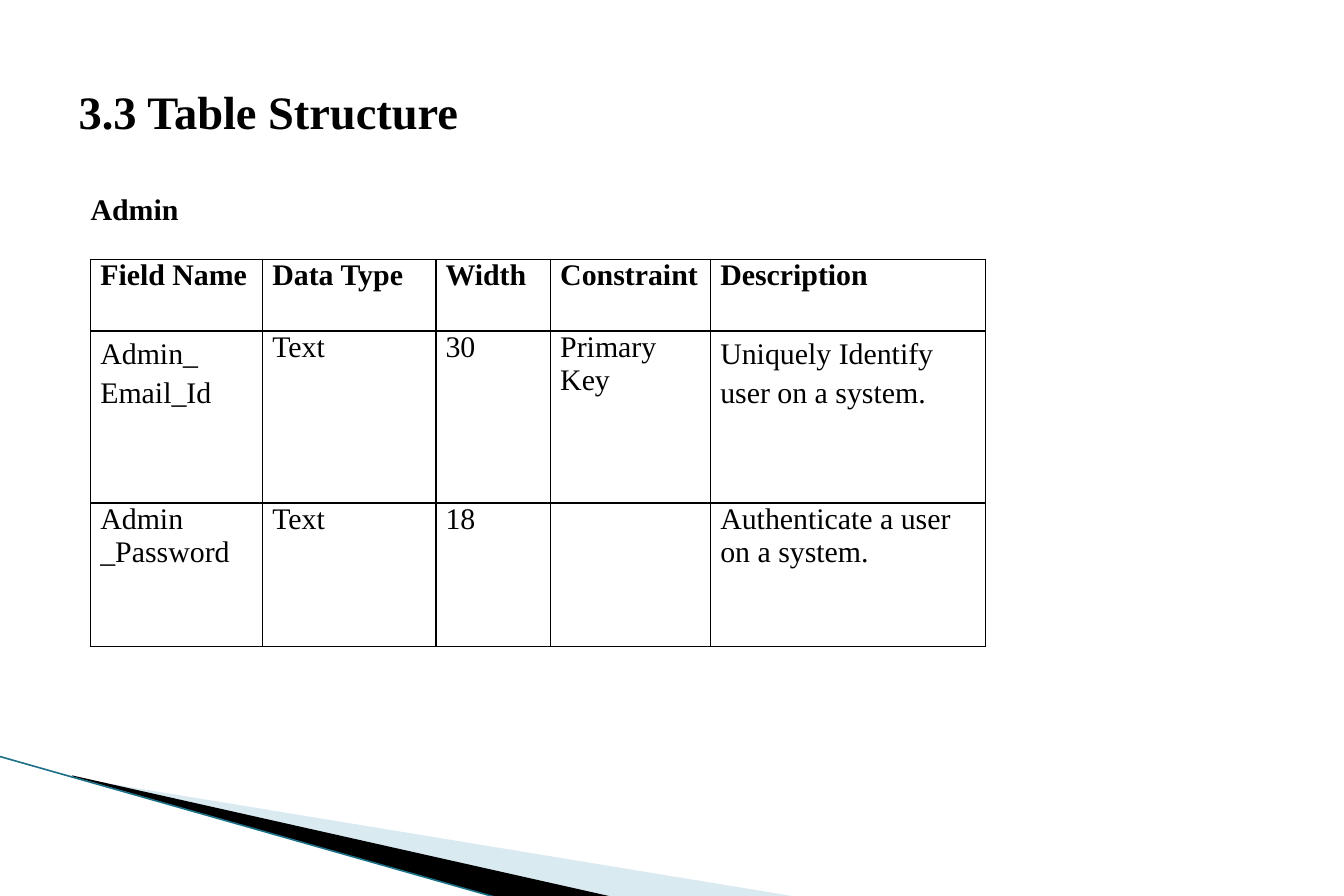
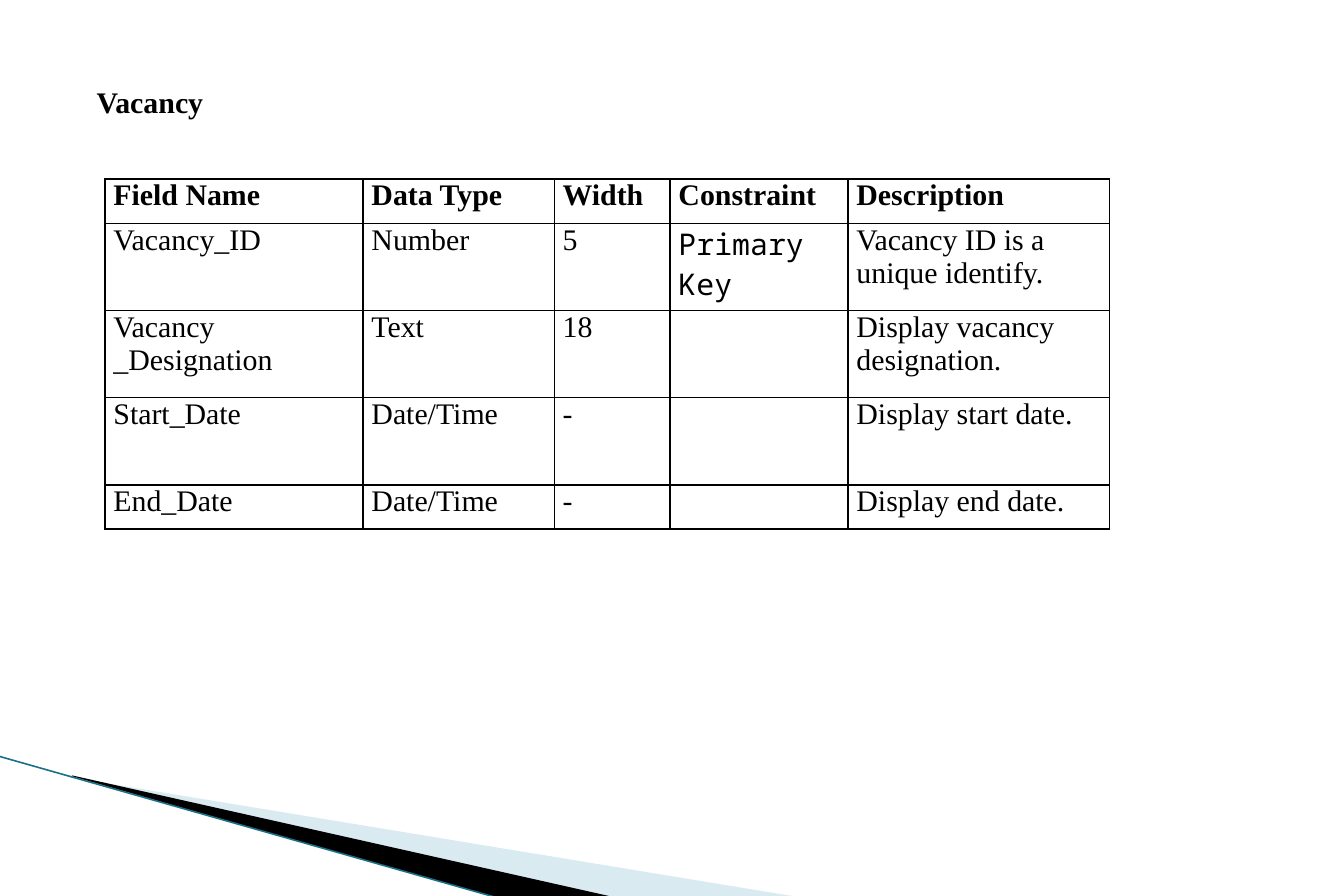
from dataclasses import dataclass
from typing import Optional, Union

from lxml import etree
from pptx import Presentation
from pptx.dml.color import RGBColor
from pptx.enum.shapes import MSO_CONNECTOR
from pptx.enum.text import MSO_ANCHOR, MSO_AUTO_SIZE
from pptx.oxml.ns import qn
from pptx.slide import Slide
from pptx.util import Inches, Pt

STRAIGHT = MSO_CONNECTOR.STRAIGHT
MIDDLE = MSO_ANCHOR.MIDDLE
TOP = MSO_ANCHOR.TOP
FIT_SHAPE = MSO_AUTO_SIZE.SHAPE_TO_FIT_TEXT

COLORS = {
    "text": "000000",
    "border": "000000",
    "pale_band": "A0CBDC",
    "dark_band": "000000",
    "edge": "1B7088",
}
SERIF = "Times New Roman"
MONO = "Noto Sans Mono"
BODY_SIZE = 18
TITLE_SIZE = 28
HEADERS = ["Field Name", "Data Type", "Width", "Constraint", "Description"]


@dataclass(frozen=True)
class Entry:
    """Cell content; each line is its own paragraph."""
    text: str
    font: str = SERIF
    spacing: Optional[float] = None
    bold: bool = False


@dataclass(frozen=True)
class Label:
    text: str
    left: float
    top: float
    width: float
    height: float
    size: int = BODY_SIZE
    wrap: bool = False


@dataclass(frozen=True)
class FieldTable:
    left: float
    top: float
    margin: float
    widths: list[float]
    heights: list[float]
    rows: list[list[Union[str, Entry]]]


@dataclass(frozen=True)
class Band:
    points: list[tuple[float, float]]
    color: str
    opacity: int = 100


BANDS = [
    Band([(0.61, 6.51), (6.69, 7.51), (5.13, 7.51), (0.62, 6.5)], "pale_band", 40),
    Band([(0.6, 6.49), (5.14, 7.51), (4.18, 7.52), (0.61, 6.5)], "dark_band"),
]

ADMIN_TABLE = FieldTable(
    0.76, 2.17, 0.08,
    [1.44, 1.45, 0.96, 1.34, 2.3],
    [0.6, 1.44, 1.2],
    [
        [Entry("Admin_\nEmail_Id", spacing=1.2), "Text", "30", "Primary\nKey",
         Entry("Uniquely Identify user on a system.", spacing=1.2)],
        ["Admin _Password", "Text", "18", "", "Authenticate a user on a system."],
    ],
)
VACANCY_TABLE = FieldTable(
    0.88, 1.5, 0.07,
    [2.16, 1.6, 0.97, 1.49, 2.19],
    [0.37, 0.73, 0.73, 0.73, 0.37],
    [
        ["Vacancy_ID", "Number", "5", Entry("Primary\nKey", font=MONO),
         "Vacancy ID is a unique identify."],
        ["Vacancy\n_Designation", "Text", "18", "", "Display vacancy\ndesignation."],
        ["Start_Date", "Date/Time", "-", "", "Display start date."],
        ["End_Date", "Date/Time", "-", "", "Display end date."],
    ],
)
PAGES = [
    ([Label("3.3 Table Structure", 0.56, 0.3, 10.12, 1.25, TITLE_SIZE, True),
      Label("Admin", 0.66, 1.55, 0.95, 0.4)], ADMIN_TABLE),
    ([Label("Vacancy", 0.71, 0.65, 1.1, 0.4)], VACANCY_TABLE),
]


def color(name: str) -> RGBColor:
    return RGBColor.from_string(COLORS[name])


def write_text(frame, entry: Entry, size: int) -> None:
    for index, line in enumerate(entry.text.split("\n")):
        para = frame.paragraphs[0] if index == 0 else frame.add_paragraph()
        para.font.size = Pt(size)
        if entry.spacing:
            para.line_spacing = entry.spacing
        if line:
            span = para.add_run()
            span.text = line
            span.font.name = entry.font
            span.font.size = Pt(size)
            span.font.bold = entry.bold
            span.font.color.rgb = color("text")


def draw_bands(page: Slide) -> None:
    for band in BANDS:
        points = [(Inches(x), Inches(y)) for x, y in band.points]
        builder = page.shapes.build_freeform(*points[0], scale=1.0)
        builder.add_line_segments(points[1:], close=True)
        shape = builder.convert_to_shape()
        shape.shadow.inherit = False
        shape.fill.solid()
        shape.fill.fore_color.rgb = color(band.color)
        shape.line.fill.background()
        if band.opacity < 100:
            fill = shape.fill._xPr.find(qn("a:solidFill"))
            etree.SubElement(fill[0], qn("a:alpha"), val=str(band.opacity * 1000))
    edge = page.shapes.add_connector(
        STRAIGHT, Inches(-0.01), Inches(6.33), Inches(4.18), Inches(7.52))
    edge.line.color.rgb = color("edge")
    edge.line.width = Pt(0.95)
    etree.SubElement(edge._element.spPr, qn("a:effectLst"))


def draw_label(page: Slide, label: Label) -> None:
    box = page.shapes.add_textbox(
        Inches(label.left), Inches(label.top), Inches(label.width), Inches(label.height))
    frame = box.text_frame
    frame.word_wrap = label.wrap
    frame.vertical_anchor = MIDDLE
    if not label.wrap:
        frame.auto_size = FIT_SHAPE
    write_text(frame, Entry(label.text, bold=True), label.size)


def set_borders(cell) -> None:
    properties = cell._tc.get_or_add_tcPr()
    for side in ("lnL", "lnR", "lnT", "lnB"):
        line = etree.SubElement(properties, qn(f"a:{side}"), w=str(Pt(1)))
        fill = etree.SubElement(line, qn("a:solidFill"))
        etree.SubElement(fill, qn("a:srgbClr"), val=COLORS["border"])


def draw_table(page: Slide, data: FieldTable) -> None:
    rows = [[Entry(header, bold=True) for header in HEADERS], *data.rows]
    table = page.shapes.add_table(
        len(rows), len(HEADERS), Inches(data.left), Inches(data.top),
        Inches(sum(data.widths)), Inches(sum(data.heights))).table
    table.first_row = False
    table.horz_banding = False
    for column, width in zip(table.columns, data.widths):
        column.width = Inches(width)
    for row, height, entries in zip(table.rows, data.heights, rows):
        row.height = Inches(height)
        for cell, entry in zip(row.cells, entries):
            cell.margin_left = cell.margin_right = Inches(data.margin)
            cell.margin_top = cell.margin_bottom = Inches(0)
            cell.vertical_anchor = TOP
            set_borders(cell)
            cell.fill.background()
            content = Entry(entry) if isinstance(entry, str) else entry
            write_text(cell.text_frame, content, BODY_SIZE)


def main() -> None:
    deck = Presentation()
    deck.slide_width = Inches(11.25)
    deck.slide_height = Inches(7.5)
    blank = deck.slide_layouts[6]
    for labels, table in PAGES:
        page = deck.slides.add_slide(blank)
        draw_bands(page)
        draw_table(page, table)
        for label in labels:
            draw_label(page, label)
    deck.save("out.pptx")


if __name__ == "__main__":
    main()
